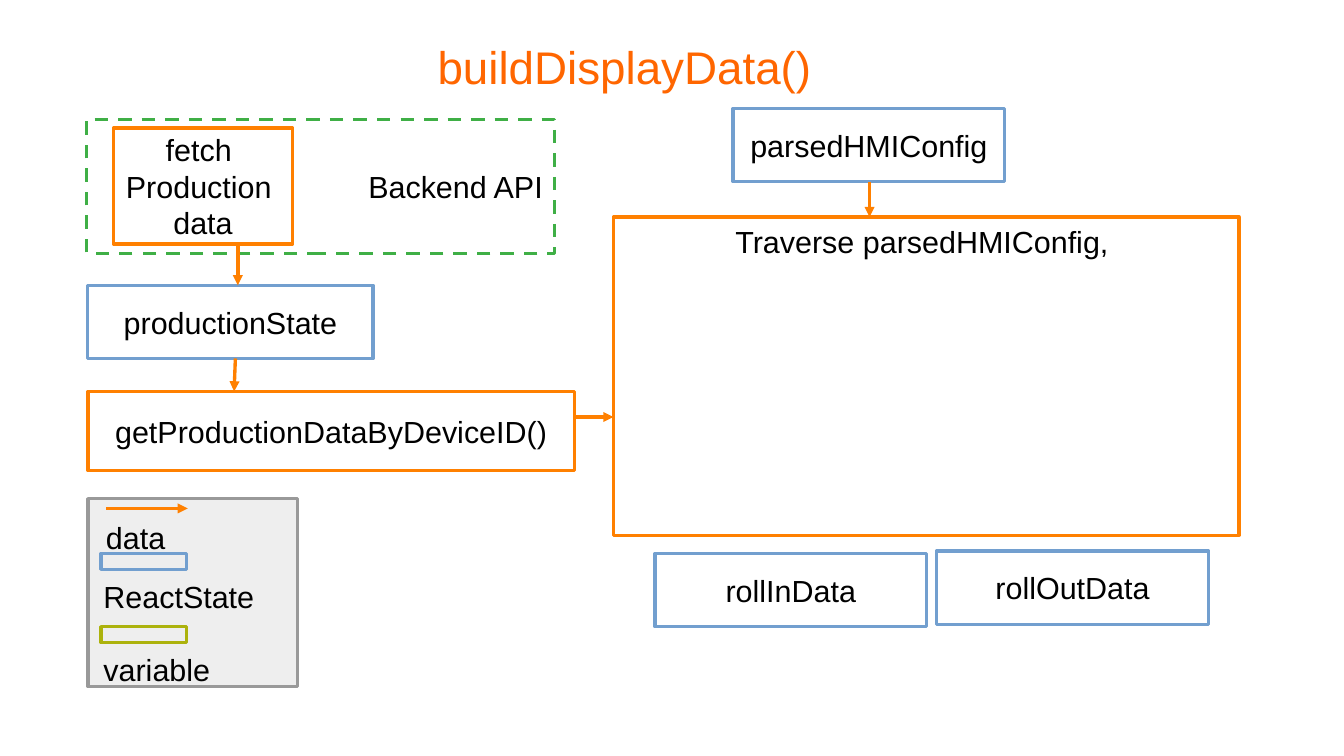
"""Build the buildDisplayData() data flow slide with its legend."""
from lxml.etree import SubElement
from pptx import Presentation
from pptx.dml.color import RGBColor
from pptx.enum.dml import MSO_LINE
from pptx.enum.shapes import MSO_CONNECTOR, MSO_SHAPE
from pptx.enum.text import MSO_ANCHOR as Anchor, MSO_AUTO_SIZE as AutoSize, PP_ALIGN as Align
from pptx.oxml.ns import qn
from pptx.util import Inches, Pt

COLORS = {"title": "FF6600", "step": "FF8000", "state": "729FCF", "backend": "3FAF46",
          "variable": "ACB20C", "legend": "999999", "panel": "EEEEEE",
          "paper": "FFFFFF", "ink": "000000"}
SLIDE_WIDTH, SLIDE_HEIGHT = 11.02, 6.2
LEFT_COLUMN, RIGHT_COLUMN = 0.72, 5.03
STATE_SIZE = (2.23, 0.6)
SWATCH_SIZE = (0.7, 0.13)

TITLE = ("buildDisplayData()", (0.59, 0.2, 9.06, 0.69))
BOXES = {
    "backend": (["Backend API"], "backend", (0.71, 0.98, 3.84, 1.1)),
    "fetch": (["fetch ", "Production ", "data"], "step", (0.93, 1.05, 1.47, 0.95)),
    "config": (["parsedHMIConfig"], "state", (6.01, 0.89, *STATE_SIZE)),
    "traverse": (["Traverse parsedHMIConfig, "], "step", (RIGHT_COLUMN, 1.78, 5.13, 2.61)),
    "production": (["productionState"], "state", (LEFT_COLUMN, 2.34, 2.34, 0.6)),
    "by_device": (["getProductionDataByDeviceID()"], "step", (LEFT_COLUMN, 3.21, 3.99, 0.65)),
    "roll_in": (["rollInData"], "state", (5.37, 4.54, *STATE_SIZE)),
    "roll_out": (["rollOutData"], "state", (7.68, 4.52, *STATE_SIZE)),
}
PLACEMENT = {"backend": (Align.RIGHT, Anchor.MIDDLE), "traverse": (Align.CENTER, Anchor.TOP)}
DOWN_FLOWS = [("fetch", "production", 1.95, 1.95), ("config", "traverse", 7.13, 7.13),
              ("production", "by_device", 1.93, 1.92)]
ACROSS_FLOWS = [("by_device", "traverse", 3.42)]
LEGEND_AREA = (LEFT_COLUMN, 4.09, 1.72, 1.54)
LEGEND_ARROW = (0.87, 4.17, 1.54, 4.17)
LEGEND_SWATCHES = [("state", 4.54), ("variable", 5.14)]
LEGEND_LABELS = [("data", (0.77, 4.21, 0.75, 0.41)),
                 ("ReactState", (0.75, 4.69, 1.57, 0.41)),
                 ("variable", (0.75, 5.29, 1.57, 0.41))]

deck = Presentation()
deck.slide_width, deck.slide_height = Inches(SLIDE_WIDTH), Inches(SLIDE_HEIGHT)
slide = deck.slides.add_slide(deck.slide_layouts[6])


def color(name):
    return RGBColor.from_string(COLORS[name])


def inches(lengths):
    return [Inches(length) for length in lengths]


def write(frame, lines, align, anchor=Anchor.TOP, size=18, ink="ink"):
    frame.word_wrap = False
    frame.vertical_anchor = anchor
    for index, line in enumerate(lines):
        paragraph = frame.add_paragraph() if index else frame.paragraphs[0]
        paragraph.text = line
        paragraph.alignment = align
        paragraph.font.name = "Arial"
        paragraph.font.size = Pt(size)
        paragraph.font.color.rgb = color(ink)


def add_box(area, outline, fill=None):
    box = slide.shapes.add_shape(MSO_SHAPE.RECTANGLE, *inches(area))
    box.shadow.inherit = False
    if fill:
        box.fill.solid()
        box.fill.fore_color.rgb = color(fill)
    else:
        box.fill.background()
    box.line.color.rgb = color(outline)
    box.line.width = Pt(1.98)
    return box


def add_arrow(*ends):
    arrow = slide.shapes.add_connector(MSO_CONNECTOR.STRAIGHT, *inches(ends))
    arrow.line.color.rgb = color("step")
    arrow.line.width = Pt(1.98)
    SubElement(arrow.line._get_or_add_ln(), qn("a:tailEnd"), type="triangle")
    SubElement(arrow._element.spPr, qn("a:effectLst"))


def add_title(text, area):
    frame = slide.shapes.add_textbox(*inches(area)).text_frame
    frame.margin_left = frame.margin_right = frame.margin_top = frame.margin_bottom = 0
    write(frame, [text], Align.CENTER, Anchor.MIDDLE, 27, "title")
    frame.word_wrap = True


def add_flow():
    for name, (lines, kind, area) in BOXES.items():
        box = add_box(area, kind, "paper")
        if kind == "backend":
            box.line.dash_style = MSO_LINE.DASH
        write(box.text_frame, lines, *PLACEMENT.get(name, (Align.CENTER, Anchor.MIDDLE)))
    areas = {name: area for name, (_, _, area) in BOXES.items()}
    for source, target, start_x, end_x in DOWN_FLOWS:
        _, top, _, height = areas[source]
        add_arrow(start_x, top + height, end_x, areas[target][1])
    for source, target, y in ACROSS_FLOWS:
        left, _, width, _ = areas[source]
        add_arrow(left + width, y, areas[target][0], y)


def add_legend():
    add_box(LEGEND_AREA, "legend", "panel")
    add_arrow(*LEGEND_ARROW)
    for kind, top in LEGEND_SWATCHES:
        add_box((0.83, top, *SWATCH_SIZE), kind)
    for label, area in LEGEND_LABELS:
        frame = slide.shapes.add_textbox(*inches(area)).text_frame
        write(frame, [label], Align.LEFT)
        frame.auto_size = AutoSize.SHAPE_TO_FIT_TEXT


add_title(*TITLE)
add_flow()
add_legend()
deck.save("out.pptx")
